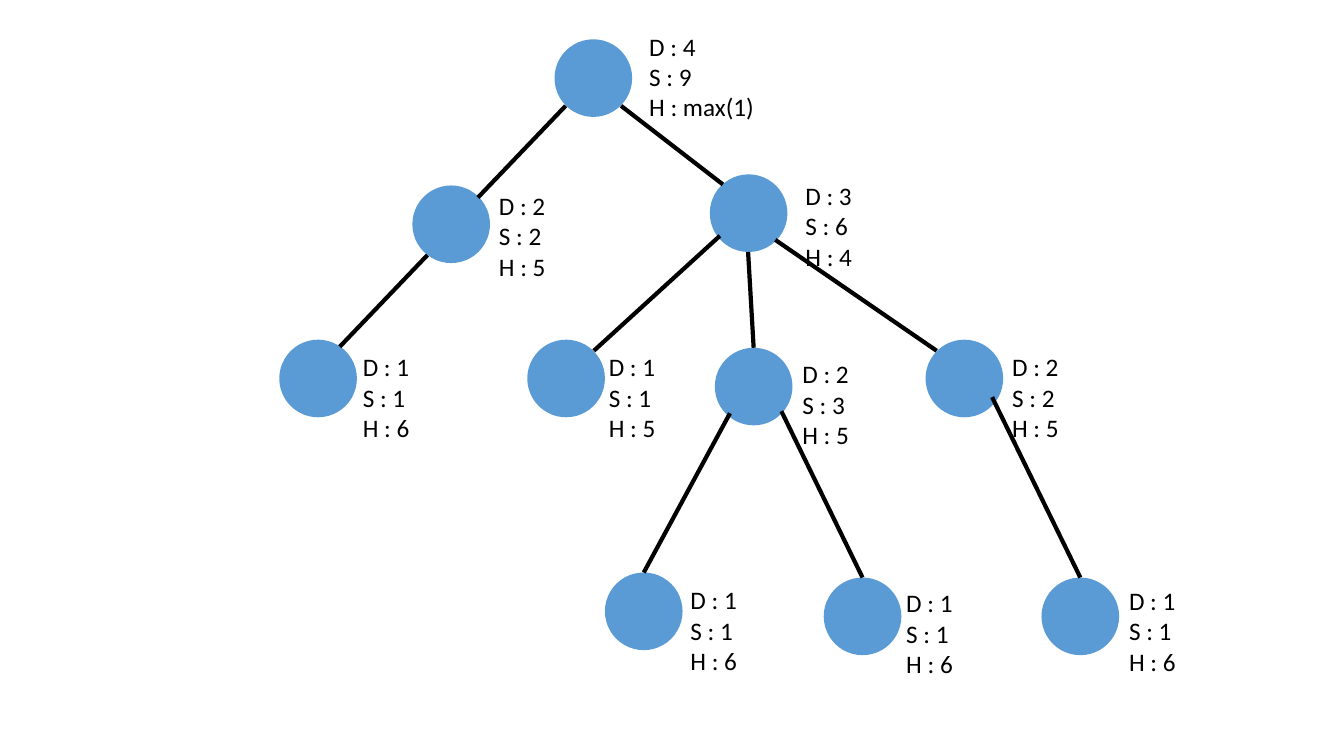
"""Build a slide with a tree whose nodes are labelled D, S and H."""
from pptx import Presentation
from pptx.dml.color import RGBColor
from pptx.enum.shapes import MSO_CONNECTOR, MSO_SHAPE
from pptx.enum.text import MSO_AUTO_SIZE
from pptx.oxml.ns import qn
from pptx.util import Emu, Pt
from lxml.etree import SubElement


def px(count):
    return Emu(count * 9144)


def color(value):
    return RGBColor.from_string(value)


NODE_SIZE = 77
LABEL_HEIGHT = 101
NODES = {
    "root": (550, 39),
    "left": (409, 184),
    "right": (704, 173),
    "left leaf": (277, 337),
    "right first": (523, 337),
    "right middle": (709, 345),
    "right last": (918, 337),
    "middle first": (600, 568),
    "middle second": (817, 573),
    "last leaf": (1033, 573),
}
EDGES = [
    (561, 105, 474, 196),
    (424, 253, 337, 344),
    (616, 105, 717, 183),
    (769, 238, 929, 348),
    (714, 234, 589, 348),
]
EDGES_TO_TOP = [
    (742, 250, "right middle"),
    (724, 410, "middle first"),
    (775, 408, "middle second"),
    (984, 394, "last leaf"),
]
LABELS = [
    (350, 344, 67, 1, 1, 6),
    (675, 575, 67, 1, 1, 6),
    (889, 578, 67, 1, 1, 6),
    (1110, 576, 67, 1, 1, 6),
    (994, 344, 67, 2, 2, 5),
    (786, 351, 67, 2, 3, 5),
    (594, 344, 67, 1, 1, 5),
    (789, 174, 67, 3, 6, 4),
    (485, 184, 67, 2, 2, 5),
    (634, 26, 125, 4, 9, "max(1)"),
]

deck = Presentation()
deck.slide_width, deck.slide_height = px(1333), px(750)
page = deck.slides.add_slide(deck.slide_layouts[6])

circles = {}
for node, (left, top) in NODES.items():
    circle = page.shapes.add_shape(
        MSO_SHAPE.OVAL, px(left), px(top), px(NODE_SIZE), px(NODE_SIZE))
    circle.shadow.inherit = False
    circle.fill.solid()
    circle.fill.fore_color.rgb = color("5B9BD5")
    circle.line.fill.background()
    circles[node] = circle

edges = [(ends, None) for ends in EDGES]
for start_x, start_y, child in EDGES_TO_TOP:
    left, top = NODES[child]
    edges.append(((start_x, start_y, left + NODE_SIZE // 2, top), child))

for ends, child in edges:
    edge = page.shapes.add_connector(MSO_CONNECTOR.STRAIGHT, *map(px, ends))
    edge.line.color.rgb = color("000000")
    edge.line.width = Pt(3)
    SubElement(edge._element.spPr, qn("a:effectLst"))
    if child:
        edge.end_connect(circles[child], 0)

for left, top, width, *values in LABELS:
    box = page.shapes.add_textbox(px(left), px(top), px(width), px(LABEL_HEIGHT))
    frame = box.text_frame
    frame.word_wrap = False
    frame.auto_size = MSO_AUTO_SIZE.SHAPE_TO_FIT_TEXT
    for index, (letter, value) in enumerate(zip("DSH", values)):
        para = frame.add_paragraph() if index else frame.paragraphs[0]
        span = para.add_run()
        span.text = f"{letter} : {value}"
        span.font.name = "Calibri"
        span.font.size = Pt(18)
        span.font.color.rgb = color("000000")

deck.save("out.pptx")
